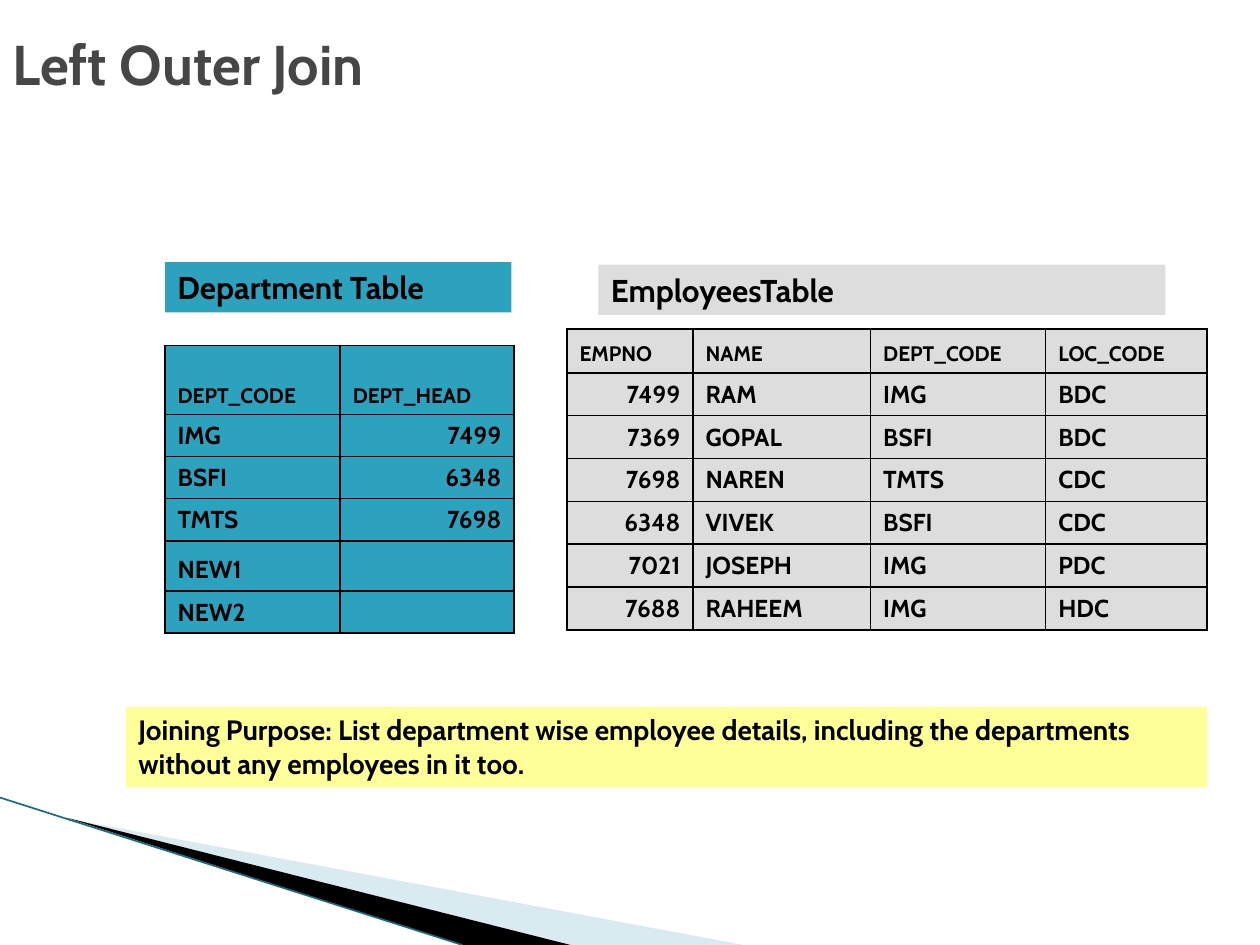
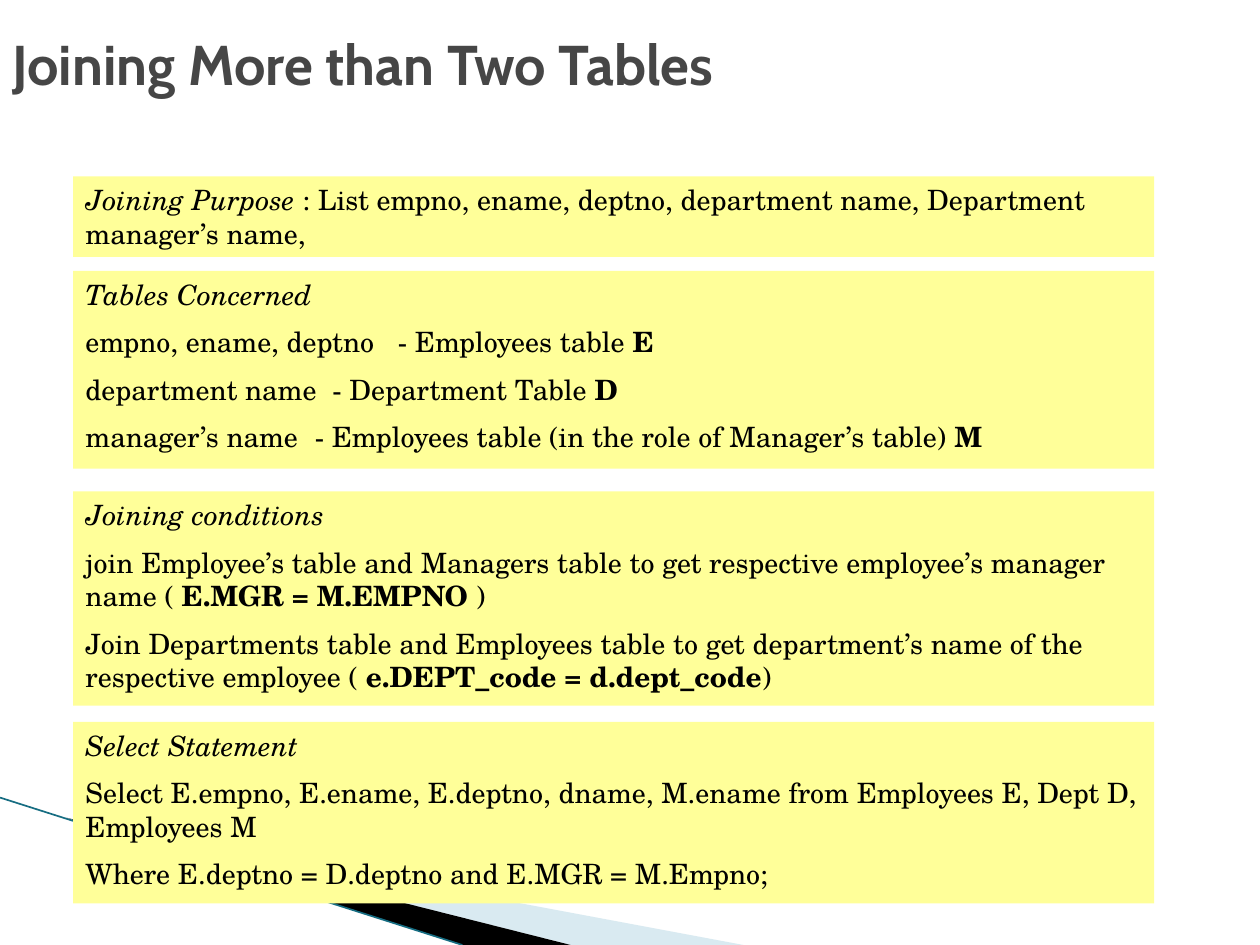
from lxml.etree import SubElement
from pptx import Presentation
from pptx.dml.color import RGBColor
from pptx.enum.shapes import MSO_CONNECTOR as Connector, MSO_SHAPE as Shape
from pptx.enum.text import MSO_ANCHOR as Anchor, PP_ALIGN as Align
from pptx.oxml.ns import qn
from pptx.util import Inches, Pt

BLACK = RGBColor(0x00, 0x00, 0x00)
TITLE_GREY = RGBColor(0x46, 0x46, 0x46)
GREY = RGBColor(0xDD, 0xDD, 0xDD)
TEAL = RGBColor(0x2D, 0xA2, 0xBF)
YELLOW = RGBColor(0xFF, 0xFF, 0x99)
PALE_BLUE = RGBColor(0xA0, 0xCB, 0xDC)
DARK_TEAL = RGBColor(0x16, 0x6D, 0x82)

SANS = "Cabin"
SERIF = "TeX Gyre Schola"
PANEL_WIDTH = 8.58


def add_run(paragraph, text, size=16, font=SANS, color=BLACK, bold=False, italic=False):
    run = paragraph.add_run()
    run.text = text
    run.font.size = Pt(size)
    run.font.name = font
    run.font.color.rgb = color
    run.font.bold = bold
    run.font.italic = italic


def add_tab_stop(paragraph, position):
    tab_list = SubElement(paragraph._p.get_or_add_pPr(), qn("a:tabLst"))
    SubElement(tab_list, qn("a:tab"), pos=str(Inches(position)), algn="l")


def add_borders(cell):
    properties = cell._tc.get_or_add_tcPr()
    for side in ("lnL", "lnR", "lnT", "lnB"):
        line = SubElement(properties, qn(f"a:{side}"), w=str(Pt(1)))
        fill = SubElement(line, qn("a:solidFill"))
        SubElement(fill, qn("a:srgbClr"), val=str(BLACK))


class Deck:
    """Holds the shared style and the current slide."""

    def __init__(self):
        self.presentation = Presentation()
        self.presentation.slide_width = Inches(10)
        self.presentation.slide_height = Inches(7.5)
        self.slide = None

    def add_slide(self, title):
        self.slide = self.presentation.slides.add_slide(self.presentation.slide_layouts[6])
        # Corner sweep
        self.add_wedge([(0.55, 6.5), (5.9, 7.5), (4.53, 7.5)], PALE_BLUE, opacity=40)
        self.add_wedge([(0.53, 6.49), (4.53, 7.5), (3.67, 7.5)], BLACK)
        self.add_line((0, 6.33), (3.67, 7.5), DARK_TEAL)
        # Title
        box = self.slide.shapes.add_textbox(0, 0, Inches(8.27), Inches(1))
        frame = box.text_frame
        frame.word_wrap = True
        frame.vertical_anchor = Anchor.MIDDLE
        add_run(frame.paragraphs[0], title, size=32, color=TITLE_GREY, bold=True)

    def add_wedge(self, points, color, opacity=100):
        start, *others = [(Inches(x), Inches(y)) for x, y in points]
        builder = self.slide.shapes.build_freeform(*start)
        builder.add_line_segments(others)
        wedge = builder.convert_to_shape()
        wedge.shadow.inherit = False
        wedge.line.fill.background()
        wedge.fill.solid()
        wedge.fill.fore_color.rgb = color
        if opacity < 100:
            color_element = wedge._element.spPr.find(qn("a:solidFill"))[0]
            SubElement(color_element, qn("a:alpha"), val=str(opacity * 1000))

    def add_line(self, start, end, color):
        ends = [Inches(value) for value in (*start, *end)]
        connector = self.slide.shapes.add_connector(Connector.STRAIGHT, *ends)
        connector.line.color.rgb = color
        connector.line.width = Pt(0.95)
        SubElement(connector._element.spPr, qn("a:effectLst"))

    def add_panel(self, left, top, width, height, color, paragraphs, tabs=(), **style):
        """Each paragraph is a list of (text, format) runs; tabs has one stop per paragraph."""
        shape = self.slide.shapes.add_shape(
            Shape.RECTANGLE, Inches(left), Inches(top), Inches(width), Inches(height))
        shape.shadow.inherit = False
        shape.fill.solid()
        shape.fill.fore_color.rgb = color
        shape.line.fill.background()
        frame = shape.text_frame
        frame.word_wrap = True
        frame.vertical_anchor = Anchor.TOP
        for index, runs in enumerate(paragraphs):
            paragraph = frame.add_paragraph() if index else frame.paragraphs[0]
            paragraph.alignment = Align.LEFT
            if index:
                paragraph.space_before = Pt(8)
            if index < len(tabs) and tabs[index]:
                add_tab_stop(paragraph, tabs[index])
            for text, run_format in runs:
                add_run(paragraph, text, **{**style, **run_format})

    def add_table(self, left, top, widths, heights, color, rows):
        table = self.slide.shapes.add_table(
            len(rows), len(widths), Inches(left), Inches(top),
            Inches(sum(widths)), Inches(sum(heights))).table
        for column, width in zip(table.columns, widths):
            column.width = Inches(width)
        for row, height in zip(table.rows, heights):
            row.height = Inches(height)
        for row_index, row in enumerate(rows):
            for column_index, text in enumerate(row):
                self.fill_cell(table.cell(row_index, column_index), text, color,
                               size=14 if row_index else 12)

    def fill_cell(self, cell, text, color, size):
        add_borders(cell)
        cell.fill.solid()
        cell.fill.fore_color.rgb = color
        cell.vertical_anchor = Anchor.BOTTOM
        paragraph = cell.text_frame.paragraphs[0]
        paragraph.alignment = Align.RIGHT if text.isdigit() else Align.JUSTIFY
        if text:
            add_run(paragraph, text, size=size, bold=True)
        else:
            SubElement(paragraph._p, qn("a:endParaRPr"), sz=str(size * 100))


def build_left_outer_join(deck):
    deck.add_slide("Left Outer Join")

    # Employees
    deck.add_table(4.5, 2.61, [1, 1.41, 1.39, 1.28], [0.35] + [0.34] * 6, GREY, [
        ("EMPNO", "NAME", "DEPT_CODE", "LOC_CODE"),
        ("7499", "RAM", "IMG", "BDC"),
        ("7369", "GOPAL", "BSFI", "BDC"),
        ("7698", "NAREN", "TMTS", "CDC"),
        ("6348", "VIVEK", "BSFI", "CDC"),
        ("7021", "JOSEPH", "IMG", "PDC"),
        ("7688", "RAHEEM", "IMG", "HDC"),
    ])
    deck.add_panel(4.75, 2.1, 4.5, 0.4, GREY, [[("EmployeesTable", {})]], size=18, bold=True)

    # Departments
    deck.add_table(1.31, 2.74, [1.39, 1.38], [0.55, 0.33, 0.33, 0.33, 0.4, 0.33], TEAL, [
        ("DEPT_CODE", "DEPT_HEAD"),
        ("IMG", "7499"),
        ("BSFI", "6348"),
        ("TMTS", "7698"),
        ("NEW1", ""),
        ("NEW2", ""),
    ])
    deck.add_panel(1.31, 2.08, 2.75, 0.4, TEAL, [[("Department Table", {})]], size=18, bold=True)

    # Purpose
    purpose = ("Joining Purpose: List department wise employee details, "
               "including the departments without any employees in it too.")
    deck.add_panel(1, 5.61, PANEL_WIDTH, 0.64, YELLOW, [[(purpose, {})]], bold=True)


def build_joining_more_tables(deck):
    deck.add_slide("Joining More than Two Tables")
    plain, bold, italic = {}, {"bold": True}, {"italic": True}

    # Top, height, paragraphs and tab stops of each panel
    panels = [
        (1.4, 0.64, [
            [("Joining Purpose", italic),
             (" : List empno, ename, deptno, department name, Department manager’s name,", plain)],
        ], ()),
        (2.15, 1.57, [
            [("Tables Concerned", italic)],
            [("empno, ename, deptno\t- Employees table ", plain), ("E", bold)],
            [("department name\t- Department Table ", plain), ("D", bold)],
            [("manager’s name\t- Employees table (in the role of Manager’s table) ", plain),
             ("M", bold)],
        ], (None, 2.48, 1.96, 1.82)),
        (3.9, 1.7, [
            [("Joining conditions", italic)],
            [("join Employee’s table and Managers table to get respective "
              "employee’s manager name ( ", plain),
             ("E.MGR = M.EMPNO ", bold), (")", plain)],
            [("Join Departments table and Employees table to get department’s name "
              "of the respective employee ( ", plain),
             ("e.DEPT_code = d.dept_code", bold), (")", plain)],
        ], ()),
        (5.73, 1.44, [
            [("Select Statement", italic)],
            [("Select E.empno, E.ename, E.deptno, dname, M.ename from Employees E, "
              "Dept D, Employees M", plain)],
            [("Where E.deptno = D.deptno and E.MGR = M.Empno;", plain)],
        ], ()),
    ]
    for top, height, paragraphs, tabs in panels:
        deck.add_panel(0.58, top, PANEL_WIDTH, height, YELLOW, paragraphs, tabs, font=SERIF)


def main():
    deck = Deck()
    build_left_outer_join(deck)
    build_joining_more_tables(deck)
    deck.presentation.save("out.pptx")


if __name__ == "__main__":
    main()
